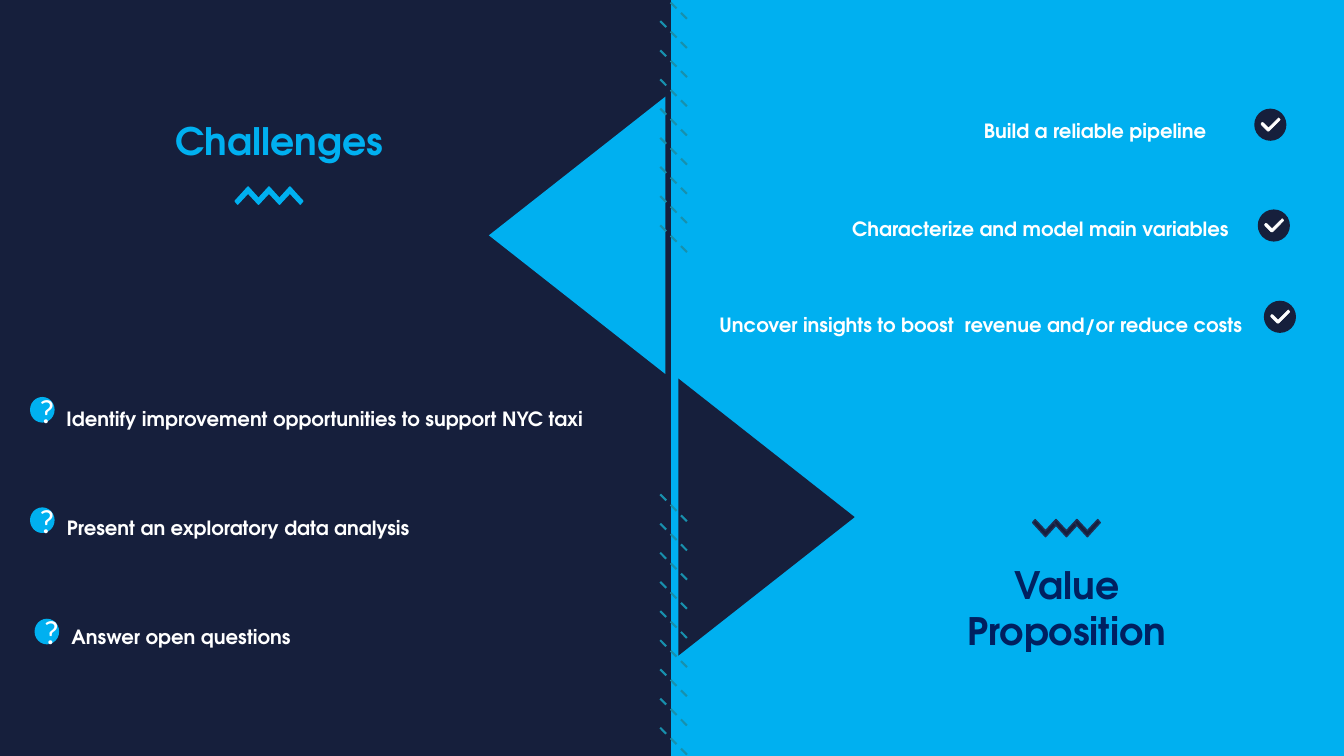
from lxml import etree
from pptx import Presentation
from pptx.dml.color import RGBColor
from pptx.enum.dml import MSO_LINE
from pptx.enum.shapes import MSO_CONNECTOR, MSO_SHAPE
from pptx.enum.text import PP_ALIGN
from pptx.oxml.ns import qn
from pptx.util import Pt

RECTANGLE, TRIANGLE, OVAL = MSO_SHAPE.RECTANGLE, MSO_SHAPE.ISOSCELES_TRIANGLE, MSO_SHAPE.OVAL
STRAIGHT, DASH = MSO_CONNECTOR.STRAIGHT, MSO_LINE.DASH
LEFT, CENTER, RIGHT = PP_ALIGN.LEFT, PP_ALIGN.CENTER, PP_ALIGN.RIGHT
NAVY, SKY, WHITE = "161F3C", "00B0F0", "FFFFFF"
FONT = "TeX Gyre Adventor"
rgb = RGBColor.from_string


def paint(shape, fill, line=None, line_width=2):
    shape.shadow.inherit = False
    shape.fill.solid()
    shape.fill.fore_color.rgb = rgb(fill)
    if line:
        shape.line.color.rgb = rgb(line)
        shape.line.width = Pt(line_width)
    else:
        shape.line.fill.background()


def add_text(text, left, top, width, height, size, color, align, spacing=None):
    frame = shapes.add_textbox(Pt(left), Pt(top), Pt(width), Pt(height)).text_frame
    frame.word_wrap = True
    paragraph = frame.paragraphs[0]
    paragraph.text = text
    paragraph.alignment = align
    paragraph.line_spacing = spacing
    paragraph.font.name = FONT
    paragraph.font.size = Pt(size)
    paragraph.font.bold = True
    paragraph.font.color.rgb = rgb(color)


prs = Presentation()
prs.slide_width, prs.slide_height = Pt(1920), Pt(1080)
slide = prs.slides.add_slide(prs.slide_layouts[6])
shapes = slide.shapes
slide.background.fill.solid()
slide.background.fill.fore_color.rgb = rgb(SKY)

# Dark half and the two interlocking arrows
dark_half = shapes.add_shape(RECTANGLE, Pt(-1.5), 0, Pt(960), Pt(1080))
paint(dark_half, NAVY)
for left, top, rotation, color in [(897, 612.7, 90, NAVY), (626.4, 210.2, 270, SKY)]:
    arrow = shapes.add_shape(TRIANGLE, Pt(left), Pt(top), Pt(396), Pt(252))
    arrow.rotation = rotation
    paint(arrow, color)

# Dashed hatching along the seam
for first_top in (-11.5, 706.3):
    for step in range(9):
        top = first_top + step * 41.67
        hatch = shapes.add_connector(STRAIGHT, Pt(943.2), Pt(top), Pt(987.1), Pt(top + 44.2))
        hatch.line.color.rgb = rgb("1890AD")
        hatch.line.width = Pt(3)
        hatch.line.dash_style = DASH
        etree.SubElement(hatch._element.spPr, qn("a:effectLst"))

# Headings
add_text("Challenges", 243.4, 164.2, 469.4, 72.7, 54, SKY, LEFT)
add_text("Value Proposition", 1348.6, 799.2, 350.6, 138.2, 54, "002060", CENTER)

# Challenges with question badges
for text, left, top, width, badge_left, badge_top in [
    ("Identify improvement opportunities to support NYC taxi", 87.8, 560.9, 831.6, 43.9, 568.1),
    ("Present an exploratory data analysis", 88.6, 717.1, 577.4, 43.9, 725.8),
    ("Answer open questions", 95, 872.6, 820.8, 50.4, 884.9),
]:
    add_text(text, left, top, width, 38.9, 28, WHITE, LEFT, 1.5)
    badge = shapes.add_shape(OVAL, Pt(badge_left), Pt(badge_top), Pt(33.1), Pt(34.6))
    paint(badge, SKY, SKY)
    question = badge.text_frame.paragraphs[0]
    question.text = "?"
    question.alignment = CENTER
    question.font.name = "Calibri"
    question.font.size = Pt(48)
    question.font.color.rgb = rgb(WHITE)

# Outlines to draw: points, fill, line, line width
outlines = []

# Zigzags of three chevrons, pointing up (1) or down (-1)
CHEVRON = [(0, 0), (14.9, 16.4), (18.4, 20.2), (14.8, 24.5),
           (0, 8.6), (-14.8, 24.5), (-18.4, 20.2)]
for center, apex, direction, fill, line in [
    (354.4, 267.1, 1, SKY, SKY),
    (1493.6, 766.8, -1, NAVY, "202D52"),
]:
    for step in range(3):
        points = [(center + step * 29.9 + x, apex + direction * y) for x, y in CHEVRON]
        outlines.append((points, fill, line, 2))

# Value propositions with check badges
CHECK = [(35.3, 15.8), (20.2, 31), (18, 31), (9.4, 22.3), (8.6, 20.9), (10.1, 18.7),
         (12.2, 19.4), (19.4, 26.6), (33.1, 13), (33.8, 12.2), (36, 14.4)]
for text, left, top, width, badge_left, badge_top in [
    ("Build a reliable pipeline ", 1160.6, 149.8, 577.4, 1792.8, 156.2),
    ("Characterize and model main variables", 1031.8, 290.2, 730.1, 1797.8, 300.2),
    ("Uncover insights to boost  revenue and/or reduce costs", 1001.5, 426.2, 779.8, 1806.5, 430.6),
]:
    add_text(text, left, top, width, 38.9, 28, WHITE, RIGHT, 1.5)
    badge = shapes.add_shape(OVAL, Pt(badge_left), Pt(badge_top), Pt(43.9), Pt(43.9))
    paint(badge, NAVY, NAVY)
    points = [(badge_left + x, badge_top + y) for x, y in CHECK]
    outlines.append((points, WHITE, WHITE, 0.75))

for points, fill, line, line_width in outlines:
    start, *rest = [(Pt(x), Pt(y)) for x, y in points]
    builder = shapes.build_freeform(*start)
    builder.add_line_segments(rest, close=True)
    paint(builder.convert_to_shape(), fill, line, line_width)

prs.save("out.pptx")
